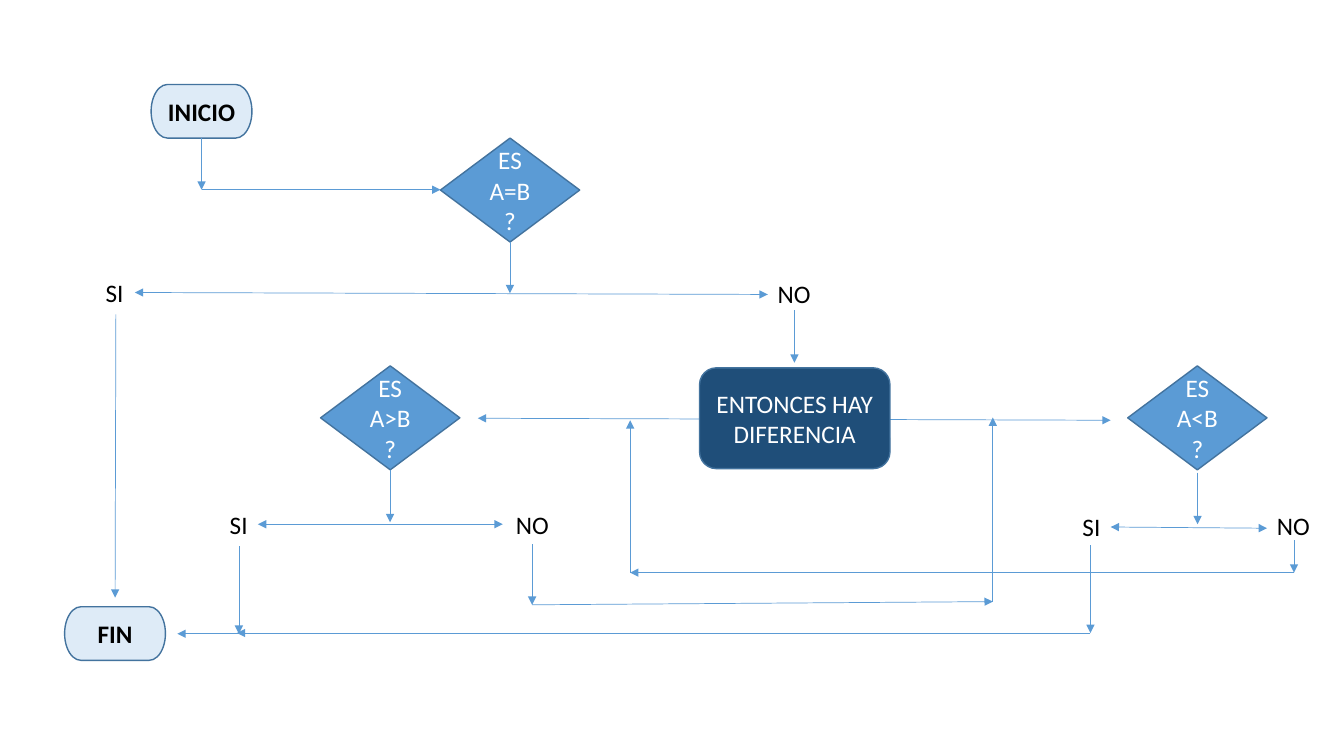
from itertools import pairwise

from lxml import etree
from pptx import Presentation
from pptx.dml.color import RGBColor
from pptx.enum.shapes import MSO_CONNECTOR, MSO_SHAPE
from pptx.enum.text import MSO_ANCHOR, MSO_AUTO_SIZE, PP_ALIGN
from pptx.oxml.ns import qn
from pptx.util import Cm, Pt

STRAIGHT = MSO_CONNECTOR.STRAIGHT
TERMINATOR = MSO_SHAPE.FLOWCHART_TERMINATOR
DECISION = MSO_SHAPE.FLOWCHART_DECISION
ROUNDED = MSO_SHAPE.ROUNDED_RECTANGLE
MIDDLE = MSO_ANCHOR.MIDDLE
FIT_SHAPE = MSO_AUTO_SIZE.SHAPE_TO_FIT_TEXT
CENTER = PP_ALIGN.CENTER
LEFT = PP_ALIGN.LEFT

COLORS = {
    "pale": "DEEBF7",
    "blue": "5B9BD5",
    "navy": "1F4E79",
    "outline": "43739E",
    "black": "000000",
    "white": "FFFFFF",
}


class Flowchart:
    font = "Calibri"
    size = Pt(18)

    def __init__(self, page):
        self.page = page

    def color(self, name):
        return RGBColor.from_string(COLORS[name])

    def set_text(self, box, text, color, align, bold=False):
        box.text_frame.text = text
        para = box.text_frame.paragraphs[0]
        para.alignment = align
        for span in para.runs:
            span.font.name = self.font
            span.font.size = self.size
            span.font.bold = bold
            span.font.color.rgb = self.color(color)

    def node(self, kind, text, left, top, width, height, fill, ink="white", bold=False):
        box = self.page.shapes.add_shape(kind, Cm(left), Cm(top), Cm(width), Cm(height))
        box.shadow.inherit = False
        box.fill.solid()
        box.fill.fore_color.rgb = self.color(fill)
        box.line.color.rgb = self.color("outline")
        box.line.width = Pt(1)
        box.text_frame.word_wrap = True
        box.text_frame.vertical_anchor = MIDDLE
        self.set_text(box, text, ink, CENTER, bold)

    def terminator(self, text, left, top):
        self.node(TERMINATOR, text, left, top, 2.54, 1.35, "pale", "black", True)

    def decision(self, text, left, top):
        self.node(DECISION, text, left, top, 3.51, 2.62, "blue")

    def label(self, text, left, top, width):
        box = self.page.shapes.add_textbox(Cm(left), Cm(top), Cm(width), Cm(1.02))
        box.text_frame.word_wrap = False
        box.text_frame.auto_size = FIT_SHAPE
        self.set_text(box, text, "black", LEFT)

    def arrow(self, start, end, both=False):
        line = self.page.shapes.add_connector(STRAIGHT, *map(Cm, start + end))
        line.line.color.rgb = self.color("blue")
        line.line.width = Pt(0.5)
        properties = line._element.spPr
        outline = properties.find(qn("a:ln"))
        for tag in ("a:headEnd", "a:tailEnd") if both else ("a:tailEnd",):
            etree.SubElement(outline, qn(tag), type="triangle")
        etree.SubElement(properties, qn("a:effectLst"))

    def route(self, *points):
        for start, end in pairwise(points):
            self.arrow(start, end)


deck = Presentation()
deck.slide_width = Cm(33.87)
deck.slide_height = Cm(19.05)
chart = Flowchart(deck.slides.add_slide(deck.slide_layouts[6]))

chart.arrow((12.04, 10.54), (27.99, 10.59), both=True)

chart.terminator("INICIO", 3.81, 2.13)
chart.terminator("FIN", 1.63, 15.29)
chart.decision("ES A=B?", 11.1, 3.48)
chart.decision("ES A<B?", 28.42, 9.22)
chart.decision("ES A>B?", 8.08, 9.22)
chart.node(ROUNDED, "ENTONCES HAY DIFERENCIA", 17.63, 9.27, 4.8, 2.54, "navy")

for left, top in ((19.35, 6.88), (12.75, 12.7), (31.93, 12.73)):
    chart.label("NO", left, top, 1.35)
for left, top in ((2.41, 6.86), (27.03, 12.75), (5.54, 12.7)):
    chart.label("SI", left, top, 0.97)

for start, end in (
    ((3.4, 7.37), (19.35, 7.42)),
    ((6.5, 13.21), (12.67, 13.21)),
    ((27.99, 13.28), (31.93, 13.31)),
):
    chart.arrow(start, end, both=True)

for points in (
    ((5.08, 3.48), (5.08, 4.78), (11.1, 4.78)),
    ((12.85, 6.1), (12.85, 7.39)),
    ((2.92, 7.92), (2.9, 15.06)),
    ((20.02, 7.82), (20.02, 9.14)),
    ((9.83, 11.84), (9.83, 13.16)),
    ((30.18, 11.91), (30.18, 13.21)),
    ((6.02, 13.77), (6.02, 15.97), (4.47, 15.97)),
    ((27.48, 13.74), (27.48, 15.95), (5.97, 15.95)),
    ((13.41, 13.72), (13.41, 15.24), (25.02, 15.16), (25.02, 10.52)),
    ((32.61, 13.61), (32.61, 14.43), (15.88, 14.43), (15.88, 10.59)),
):
    chart.route(*points)

deck.save("out.pptx")
